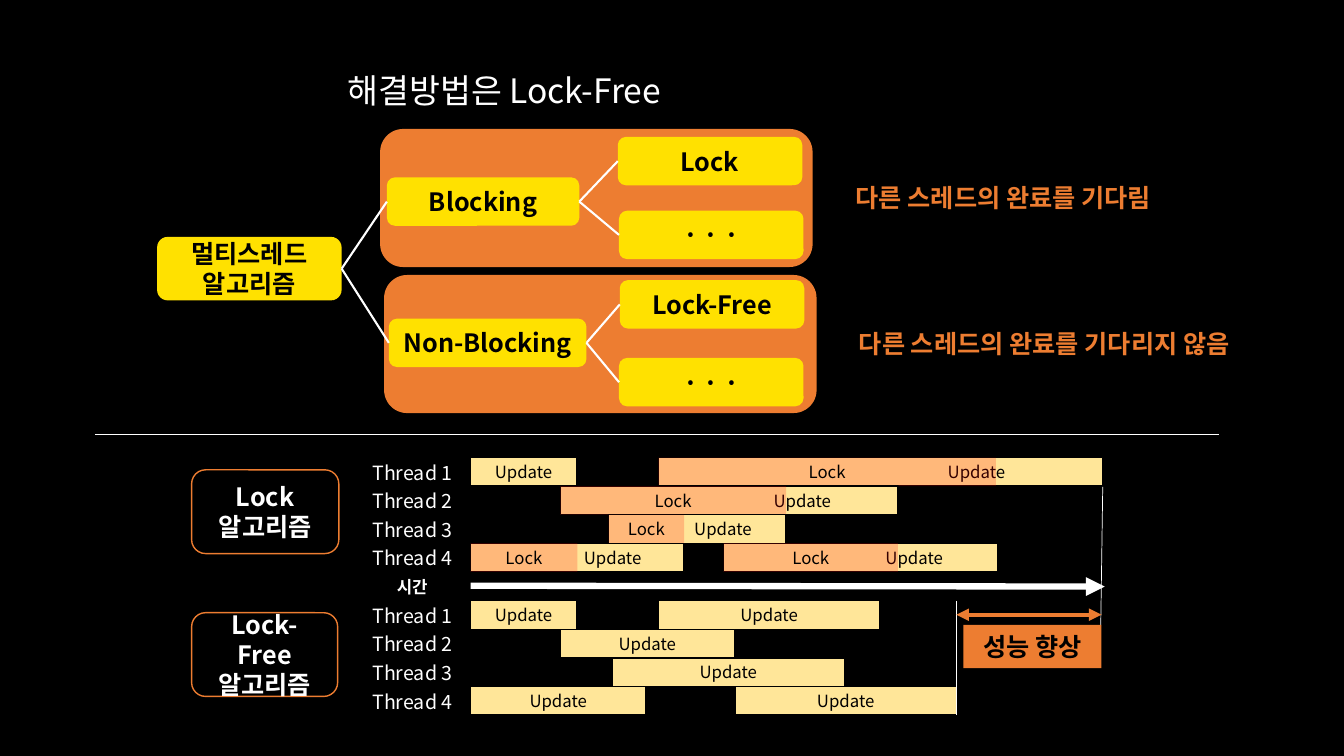
"""Build a slide comparing lock-based and lock-free multithreaded algorithms."""
from dataclasses import dataclass
from typing import Optional

import pptx
import pptx.dml.color
import pptx.enum.shapes
import pptx.enum.text
import pptx.oxml
import pptx.oxml.ns
import pptx.util
from pptx.util import Cm

RGBColor = pptx.dml.color.RGBColor
BLACK = RGBColor(0x00, 0x00, 0x00)
WHITE = RGBColor(0xFF, 0xFF, 0xFF)
ORANGE = RGBColor(0xED, 0x7D, 0x31)
YELLOW = RGBColor(0xFF, 0xE1, 0x00)
CREAM = RGBColor(0xFF, 0xE6, 0x99)
RED = RGBColor(0xFF, 0x00, 0x00)

FONT = "Noto Sans CJK KR"
RECT = pptx.enum.shapes.MSO_SHAPE.RECTANGLE
ROUNDED = pptx.enum.shapes.MSO_SHAPE.ROUNDED_RECTANGLE
MIDDLE = pptx.enum.text.MSO_ANCHOR.MIDDLE
TOP = pptx.enum.text.MSO_ANCHOR.TOP
CENTER = pptx.enum.text.PP_ALIGN.CENTER
LEFT = pptx.enum.text.PP_ALIGN.LEFT
RIGHT_SIDE, LEFT_SIDE = 3, 1
ROW_HEIGHT = 0.72
INSET = 0.25


@dataclass(frozen=True)
class Box:
    left: float
    top: float
    width: float
    height: float


@dataclass(frozen=True)
class Node:
    label: str
    box: Box
    parent: Optional[int] = None


@dataclass(frozen=True)
class Work:
    row: int
    left: float
    width: float
    lock_width: float = 0
    update_center: Optional[float] = None


@dataclass(frozen=True)
class Timeline:
    label: str
    frame: Box
    top: float
    works: tuple[Work, ...]


PANELS = (Box(9.58, 3.25, 10.9, 3.48), Box(9.68, 6.93, 10.9, 3.48))
NODES = (
    Node("멀티스레드\n알고리즘", Box(3.96, 5.97, 4.65, 1.6)),
    Node("Blocking", Box(9.75, 4.47, 4.85, 1.22), 0),
    Node("Non-Blocking", Box(9.8, 8.03, 4.98, 1.22), 0),
    Node("Lock", Box(15.57, 3.45, 4.65, 1.22), 1),
    Node("· · ·", Box(15.6, 5.31, 4.65, 1.22), 1),
    Node("Lock-Free", Box(15.62, 7.06, 4.65, 1.22), 2),
    Node("· · ·", Box(15.6, 9.02, 4.65, 1.22), 2),
)
REMARKS = (
    ("다른 스레드의 완료를 기다림", Box(20.88, 4.42, 8.81, 1.09)),
    ("다른 스레드의 완료를 기다리지 않음", Box(20.7, 8.1, 11.23, 1.09)),
)
TIMELINES = (
    Timeline("Lock\n알고리즘", Box(4.83, 11.84, 3.71, 2.11), 11.53, (
        Work(0, 11.86, 2.67),
        Work(0, 16.59, 11.2, 8.51, 24.61),
        Work(1, 14.12, 8.51, 5.69, 20.22),
        Work(2, 15.34, 4.47, 1.9, 18.22),
        Work(3, 11.86, 5.38, 2.69, 15.44),
        Work(3, 18.24, 6.91, 4.39, 23.04),
    )),
    Timeline("Lock-Free\n알고리즘", Box(4.83, 15.44, 3.68, 2.11), 15.14, (
        Work(0, 11.86, 2.67),
        Work(0, 16.59, 5.59),
        Work(1, 14.12, 4.39),
        Work(2, 15.42, 5.87),
        Work(3, 11.86, 4.42),
        Work(3, 18.52, 5.59),
    )),
)


def write(shape, text: str, *, size: float = 18, color: RGBColor = BLACK, bold: bool = False,
          align=CENTER, anchor=MIDDLE, spacing: float = 1, inset: float = INSET) -> None:
    """Fill a shape with formatted text, one paragraph per line."""
    frame = shape.text_frame
    frame.word_wrap = True
    frame.vertical_anchor = anchor
    frame.margin_left = Cm(inset)
    frame.text = text
    for paragraph in frame.paragraphs:
        paragraph.alignment = align
        paragraph.line_spacing = spacing
        for run in paragraph.runs:
            run.font.size = pptx.util.Pt(size)
            run.font.bold = bold
            run.font.color.rgb = color
            run.font.name = FONT
            east_asian = pptx.oxml.parse_xml(
                f'<a:ea {pptx.oxml.ns.nsdecls("a")} typeface="{FONT}"/>')
            run.font._element.append(east_asian)


def add_block(slide, kind, box: Box, fill: Optional[RGBColor] = None,
              outline: Optional[RGBColor] = None, opacity: int = 100):
    """Draw a preset shape with an optional fill and outline."""
    block = slide.shapes.add_shape(
        kind, Cm(box.left), Cm(box.top), Cm(box.width), Cm(box.height))
    block.shadow.inherit = False
    if fill is None:
        block.fill.background()
    else:
        block.fill.solid()
        block.fill.fore_color.rgb = fill
        if opacity < 100:
            tint = block._element.spPr.find(".//" + pptx.oxml.ns.qn("a:srgbClr"))
            tint.append(pptx.oxml.parse_xml(
                f'<a:alpha {pptx.oxml.ns.nsdecls("a")} val="{opacity * 1000}"/>'))
    if outline is None:
        block.line.fill.background()
    else:
        block.line.color.rgb = outline
        block.line.width = pptx.util.Pt(1)
    return block


def add_label(slide, text: str, box: Box, **text_format) -> None:
    """Place a text box with formatted text."""
    label = slide.shapes.add_textbox(
        Cm(box.left), Cm(box.top), Cm(box.width), Cm(box.height))
    write(label, text, **text_format)


def add_line(slide, start: tuple[float, float], end: tuple[float, float], width: float,
             color: RGBColor = WHITE, arrows: tuple[str, ...] = ()):
    """Draw a straight line with arrowheads at the named ends."""
    line = slide.shapes.add_connector(
        pptx.enum.shapes.MSO_CONNECTOR.STRAIGHT, *map(Cm, start + end))
    line.line.color.rgb = color
    line.line.width = pptx.util.Pt(width)
    namespace = pptx.oxml.ns.nsdecls("a")
    for arrow in arrows:
        line.line._get_or_add_ln().append(
            pptx.oxml.parse_xml(f'<a:{arrow} {namespace} type="triangle"/>'))
    line._element.spPr.append(pptx.oxml.parse_xml(f"<a:effectLst {namespace}/>"))
    return line


def add_tree(slide) -> None:
    """Draw the classification tree and join its nodes."""
    blocks = []
    for node in NODES:
        block = add_block(slide, ROUNDED, node.box, YELLOW)
        write(block, node.label, bold=True)
        blocks.append(block)
        if node.parent is not None:
            branch = add_line(slide, (0, 0), (1, 1), 1.5)
            branch.begin_connect(blocks[node.parent], RIGHT_SIDE)
            branch.end_connect(block, LEFT_SIDE)


def add_timeline(slide, timeline: Timeline) -> None:
    """Draw the work bars, thread names and heading of one algorithm."""
    for work in timeline.works:
        top = timeline.top + work.row * ROW_HEIGHT
        update = add_block(slide, RECT, Box(work.left, top, work.width, ROW_HEIGHT), CREAM, BLACK)
        inset = INSET
        if work.update_center is not None:
            inset += 2 * (work.update_center - work.left) - work.width
        write(update, "Update", size=12, inset=inset)
        if work.lock_width:
            lock = add_block(slide, RECT, Box(work.left, top, work.lock_width, ROW_HEIGHT),
                             RED, opacity=20)
            write(lock, "Lock", size=12)
    for row in range(4):
        top = timeline.top - 0.05 + row * ROW_HEIGHT
        add_label(slide, f"Thread {row + 1}", Box(8.92, top, 2.95, 0.86),
                  size=14, color=WHITE, anchor=TOP)
    heading = add_block(slide, ROUNDED, timeline.frame, outline=ORANGE)
    write(heading, timeline.label, color=WHITE, bold=True)


def main() -> None:
    """Assemble the slide and save it."""
    deck = pptx.Presentation()
    deck.slide_width, deck.slide_height = Cm(33.87), Cm(19.05)
    slide = deck.slides.add_slide(deck.slide_layouts[6])
    slide.background.fill.solid()
    slide.background.fill.fore_color.rgb = BLACK

    for panel in PANELS:
        add_block(slide, ROUNDED, panel, ORANGE)
    add_label(slide, "해결방법은 Lock-Free", Box(8.51, 1.12, 8.79, 1.6),
              size=24, color=WHITE, align=LEFT, anchor=TOP, spacing=1.5)
    add_tree(slide)
    for remark, box in REMARKS:
        add_label(slide, remark, box, color=ORANGE, bold=True)
    add_line(slide, (2.39, 10.95), (30.73, 10.95), 1)

    add_line(slide, (11.86, 14.76), (27.84, 14.78), 4.5, arrows=("tailEnd",))
    add_label(slide, "시간", Box(9.75, 14.4, 1.52, 0.76),
              size=12, color=WHITE, bold=True, align=LEFT, anchor=TOP)
    for timeline in TIMELINES:
        add_timeline(slide, timeline)
    add_line(slide, (24.1, 15.14), (24.1, 18.01), 0.5)
    add_line(slide, (27.79, 12.27), (27.74, 15.75), 0.5)
    add_line(slide, (24.1, 15.49), (27.76, 15.49), 3, ORANGE, ("headEnd", "tailEnd"))
    gain = add_block(slide, RECT, Box(24.28, 15.75, 3.48, 1.09), ORANGE)
    write(gain, "성능 향상", bold=True)
    deck.save("out.pptx")


if __name__ == "__main__":
    main()
